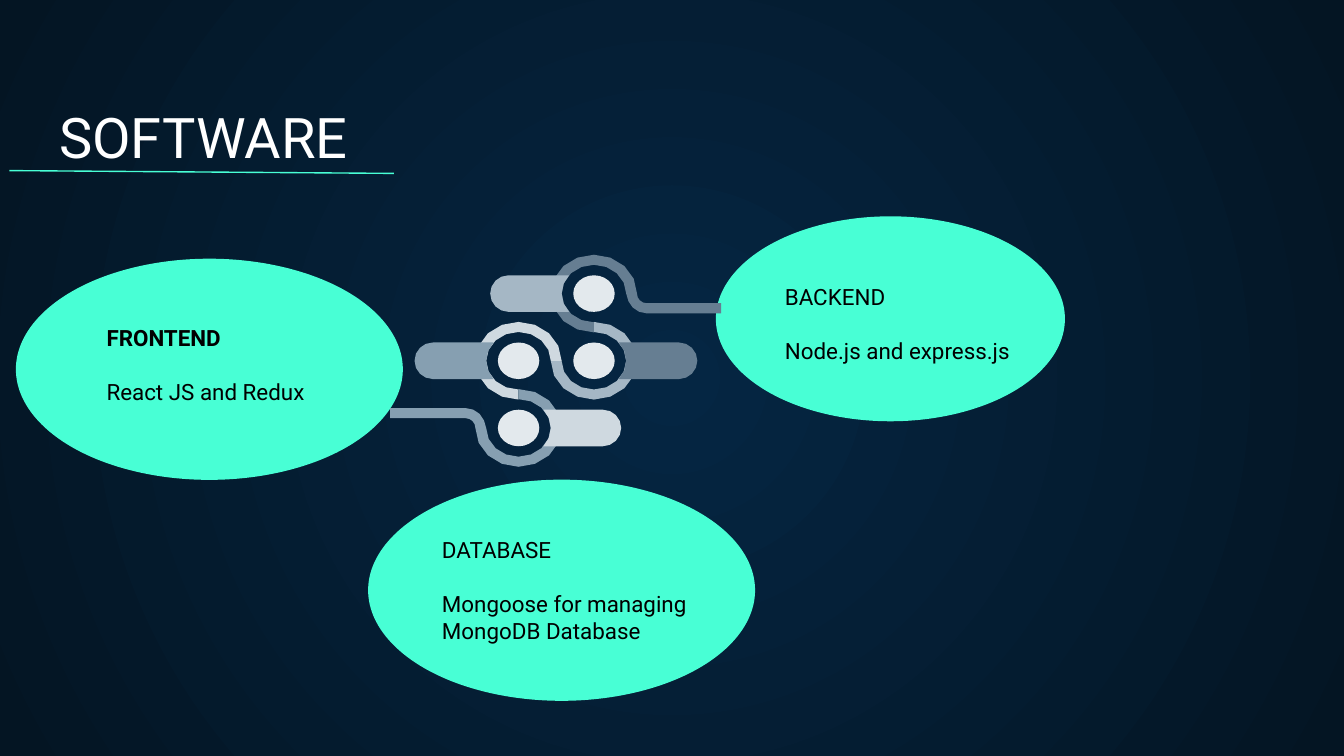
import math

from lxml import etree
from pptx import Presentation
from pptx import util as u
from pptx.dml import color
from pptx.enum import shapes, text
from pptx.oxml import ns

MINT = "48FFD5"
SLATE = "667E92"
STEEL = "869FB1"
MIST = "A5B7C5"
PALE = "CFD9E0"
HUB = "E3E9ED"

RING_OUTER = (23.1, 20.8)
RING_INNER = (17.3, 15.4)
HUB_RADII = (11.1, 9.8)
BEND_NEAR = 5.2
BEND_FAR = 10.6
TAB_HALF = 9.8
ARC_STEP = 22.5


def rgb(value):
    return color.RGBColor.from_string(value)


def arc(center, radii, start, end):
    steps = math.ceil(abs(end - start) / ARC_STEP)
    angles = [math.radians(start + (end - start) * i / steps) for i in range(steps + 1)]
    return [(center[0] + radii[0] * math.cos(a), center[1] + radii[1] * math.sin(a))
            for a in angles]


class Deck:
    font = "Roboto"

    def __init__(self, width, height):
        self.prs = Presentation()
        self.prs.slide_width, self.prs.slide_height = u.Pt(width), u.Pt(height)
        self.slide = self.prs.slides.add_slide(self.prs.slide_layouts[5])

    def background(self, inner, outer):
        fill = self.slide.background.fill
        fill.gradient()
        for stop, value in zip(fill.gradient_stops, (inner, outer)):
            stop.color.rgb = rgb(value)
        gradient = self.slide.element.find(".//" + ns.qn("a:gradFill"))
        gradient.remove(gradient.find(ns.qn("a:lin")))
        circle = etree.SubElement(gradient, ns.qn("a:path"), path="circle")
        etree.SubElement(circle, ns.qn("a:fillToRect"),
                         {side: "50000" for side in "ltrb"})

    def style(self, paragraph, size, value, bold=False):
        for run in paragraph.runs:
            run.font.name, run.font.size = self.font, u.Pt(size)
            run.font.bold, run.font.color.rgb = bold, rgb(value)

    def title(self, words, left, top, width, height):
        heading = self.slide.shapes.title
        heading.left, heading.top = u.Pt(left), u.Pt(top)
        heading.width, heading.height = u.Pt(width), u.Pt(height)
        frame = heading.text_frame
        frame.text = words
        frame.vertical_anchor = text.MSO_ANCHOR.BOTTOM
        frame.margin_left = frame.margin_right = u.Pt(7.2)
        frame.margin_top = frame.margin_bottom = u.Pt(7.2)
        frame.paragraphs[0].alignment = text.PP_ALIGN.LEFT
        self.style(frame.paragraphs[0], 30, "FFFFFF")

    def line(self, x1, y1, x2, y2, value, weight):
        rule = self.slide.shapes.add_connector(
            shapes.MSO_CONNECTOR.STRAIGHT, u.Pt(x1), u.Pt(y1), u.Pt(x2), u.Pt(y2))
        rule.line.color.rgb, rule.line.width = rgb(value), u.Pt(weight)
        etree.SubElement(rule.element.spPr, ns.qn("a:effectLst"))

    def paint(self, shape, value):
        shape.shadow.inherit = False
        shape.fill.solid()
        shape.fill.fore_color.rgb = rgb(value)
        shape.line.fill.background()

    def oval(self, left, top, width, height, value):
        self.paint(self.slide.shapes.add_shape(
            shapes.MSO_SHAPE.OVAL, u.Pt(left), u.Pt(top), u.Pt(width), u.Pt(height)), value)

    def label(self, heading, detail, left, top, width, height, bold):
        box = self.slide.shapes.add_textbox(u.Pt(left), u.Pt(top), u.Pt(width), u.Pt(height))
        frame = box.text_frame
        frame.word_wrap = True
        frame.auto_size = text.MSO_AUTO_SIZE.SHAPE_TO_FIT_TEXT
        frame.text = heading
        self.style(frame.paragraphs[0], 12, "000000", bold)
        body = frame.add_paragraph()
        body.text = detail
        body.space_before = u.Pt(14.4)
        self.style(body, 12, "000000")

    def outline(self, points, value):
        points = [(u.Pt(x), u.Pt(y)) for x, y in points]
        builder = self.slide.shapes.build_freeform(*points[0])
        builder.add_line_segments(points[1:], close=True)
        self.paint(builder.convert_to_shape(), value)

    def ring(self, center, start, end, value, tail=None):
        points = arc(center, RING_OUTER, start, end)
        if tail is not None:
            side = math.cos(math.radians(end))
            bend = (center[0] + side * (RING_OUTER[0] + BEND_NEAR), center[1])
            near = arc(bend, (BEND_NEAR, BEND_NEAR), end + 180, end + 90)
            far = arc(bend, (BEND_FAR, BEND_FAR), end + 90, end + 180)
            points += near[1:] + [(tail, near[-1][1]), (tail, far[0][1])] + far[:-1]
        self.outline(points + arc(center, RING_INNER, end, start), value)

    def tab(self, center, tip, value):
        side = math.copysign(1, tip - center[0])
        reach = math.degrees(math.asin(TAB_HALF / RING_INNER[1]))
        notch = arc(center, (side * RING_INNER[0], RING_INNER[1]), -reach, reach)
        cap = arc((tip - side * TAB_HALF, center[1]), (side * TAB_HALF, TAB_HALF), 90, -90)
        self.outline(notch + cap, value)

    def hub(self, center):
        (x, y), (rx, ry) = center, HUB_RADII
        self.oval(x - rx, y - ry, 2 * rx, 2 * ry, HUB)


def main():
    deck = Deck(720, 405)
    deck.background("052643", "041523")
    deck.title("SOFTWARE", 24.5, 50.8, 671, 47.5)
    deck.line(5, 91.4, 211, 92.9, MINT, 0.75)

    layers = [
        ("FRONTEND", "React JS and Redux", (8.5, 138.6, 207.3, 118.5),
         (50, 170, 282, 51), True),
        ("BACKEND", "Node.js and express.js", (383.5, 115.9, 187, 109.8),
         (413.4, 148.3, 282, 51), False),
        ("DATABASE", "Mongoose for managing MongoDB Database",
         (197.2, 257, 207.3, 118.5), (229.7, 283.7, 172.8, 65.5), False),
    ]
    for heading, detail, bubble, caption, bold in layers:
        deck.oval(*bubble, MINT)
        deck.label(heading, detail, *caption, bold)

    left, right = 277.8, 318.2
    upper, middle, lower = (157.3 + 36 * row for row in range(3))
    links = [
        ((right, middle), 373.6, SLATE, [(-90, 180, MIST, None)]),
        ((left, middle), 222.1, STEEL, [(90, 360, PALE, None)]),
        ((right, upper), 262.6, MIST,
         [(270, 360, SLATE, 386.4), (90, 270, SLATE, None)]),
        ((left, lower), 332.8, PALE, [(-90, 180, STEEL, 209)]),
    ]
    deck.outline([(313.9, 166.4), (right, 167.1), (316, 167)], MIST)
    for center, tip, tab_color, rings in links:
        for start, end, ring_color, tail in rings:
            deck.ring(center, start, end, ring_color, tail)
        deck.tab(center, tip, tab_color)
        deck.hub(center)

    deck.prs.save("out.pptx")


if __name__ == "__main__":
    main()
